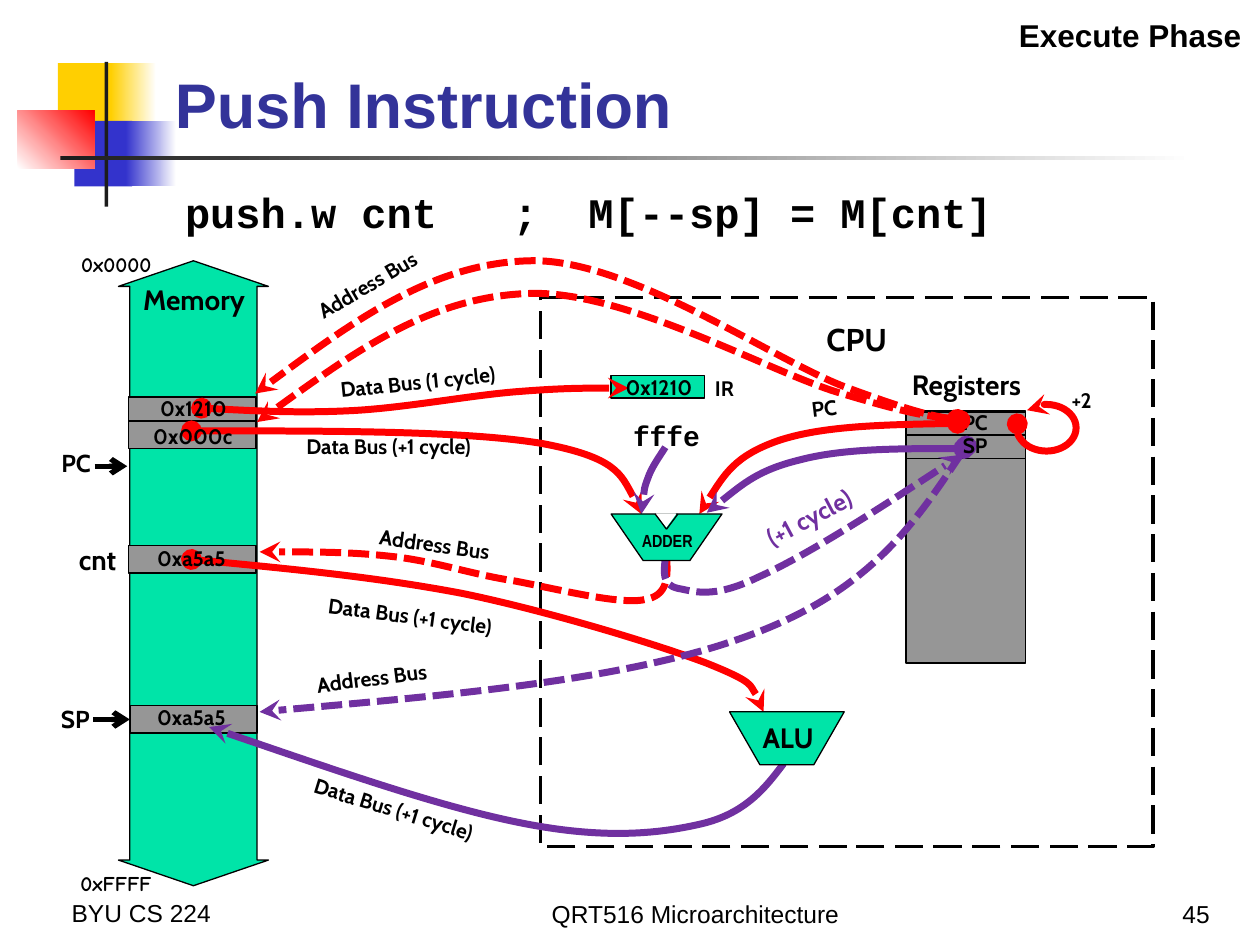
"""Build the Push Instruction slide: memory, CPU and the buses between them."""
from dataclasses import dataclass
from typing import Optional

from lxml import etree
from pptx import Presentation
from pptx.dml.color import RGBColor
from pptx.enum.dml import MSO_LINE
from pptx.enum.shapes import MSO_CONNECTOR, MSO_SHAPE
from pptx.enum.text import MSO_ANCHOR, MSO_AUTO_SIZE, PP_ALIGN
from pptx.oxml.ns import qn
from pptx.util import Pt

PX = 9144
BLACK = RGBColor(0x00, 0x00, 0x00)
WHITE = RGBColor(0xFF, 0xFF, 0xFF)
RED = RGBColor(0xFF, 0x00, 0x00)
PURPLE = RGBColor(0x70, 0x30, 0xA0)
GREEN = RGBColor(0x00, 0xE4, 0xA8)
GRAY = RGBColor(0x96, 0x96, 0x96)
YELLOW = RGBColor(0xFF, 0xCF, 0x01)
BLUE = RGBColor(0x33, 0x33, 0xCC)
INK = RGBColor(0x1C, 0x1C, 0x1C)
TITLE = RGBColor(0x33, 0x33, 0x99)
LEFT, CENTER, RIGHT = PP_ALIGN.LEFT, PP_ALIGN.CENTER, PP_ALIGN.RIGHT


@dataclass
class Box:
    x: int
    y: int
    w: int
    h: int
    fill: Optional[RGBColor] = None
    fade: Optional[RGBColor] = None
    angle: int = 0
    line: Optional[RGBColor] = None
    width: float = 1
    dash: Optional[MSO_LINE] = None
    kind: MSO_SHAPE = MSO_SHAPE.RECTANGLE
    adj: Optional[dict] = None
    flip: bool = False


@dataclass
class Wire:
    points: tuple
    color: RGBColor = RED
    dashed: bool = False
    dot: bool = True
    rot: float = 0


@dataclass
class Label:
    text: str
    x: int
    y: int
    w: int
    h: int = 30
    size: int = 12
    align: PP_ALIGN = CENTER
    font: str = "Cabin"
    color: RGBColor = BLACK
    bold: bool = True
    rot: float = 0
    inset: bool = True
    wrap: bool = True
    bottom: bool = False


def cell(x: int, y: int, w: int, h: int) -> Box:
    return Box(x, y, w, h, GRAY, line=BLACK)


def value(text: str, x: int, y: int, w: int = 64) -> Label:
    return Label(text, x, y, w, 20, inset=False)


def footer(text: str, x: int, y: int, w: int, h: int, align: PP_ALIGN) -> Label:
    return Label(text, x, y, w, h, 14, align, "Arial", bold=False, bottom=True)


DECOR = [
    Box(46, 50, 48, 52, YELLOW), Box(88, 50, 36, 52, YELLOW, WHITE),
    Box(59, 96, 46, 52, BLUE), Box(100, 96, 40, 52, BLUE, WHITE),
    Box(14, 88, 61, 46, WHITE, RED, 45), Box(83, 49, 3, 115, INK),
    Box(48, 124, 900, 3, INK, WHITE),
]
STORAGE = [
    Box(94, 207, 119, 496, GREEN, line=BLACK, width=0.75,
        kind=MSO_SHAPE.UP_DOWN_ARROW, adj={"adj1": 84800, "adj2": 17100}),
    cell(102, 315, 101, 19), cell(102, 334, 101, 22), cell(102, 433, 101, 22),
    cell(719, 326, 95, 200), cell(719, 327, 95, 19), cell(719, 345, 95, 19),
    Box(429, 236, 486, 436, line=BLACK, width=2, dash=MSO_LINE.LONG_DASH),
    Box(485, 298, 74, 18, GREEN, line=BLACK, width=0.75),
]
STACK_TOP = cell(103, 560, 101, 22)
UNITS = [
    Box(579, 565, 91, 42, GREEN, line=BLACK, width=0.75,
        kind=MSO_SHAPE.TRAPEZOID, adj={"adj": 57400}, flip=True),
    Box(485, 408, 88, 37, GREEN, line=BLACK, width=0.75,
        kind=MSO_SHAPE.TRAPEZOID, adj={"adj": 68900}, flip=True),
    Box(521, 408, 15, 10, WHITE, line=WHITE, width=0.75,
        kind=MSO_SHAPE.ISOSCELES_TRIANGLE, adj={"adj": 51800}, flip=True),
]
INCREMENT = Box(807, 321, 47, 37, kind=MSO_SHAPE.ARC, adj={"adj1": 2523400, "adj2": 459300})
WIRES = [
    Wire(((152, 444), (226, 451), (299, 458), (367, 471), (435, 485),
          (520, 511), (560, 526), (600, 542), (603, 554), (606, 565))),
    Wire(((152, 342), (261, 342), (370, 342), (430, 352), (489, 363),
          (499, 385), (509, 408))),
    Wire(((529, 441), (530, 457), (531, 473), (511, 476), (491, 480), (440, 467),
          (408, 461), (375, 456), (347, 446), (314, 442), (280, 438), (243, 438),
          (206, 438)), dashed=True, dot=False),
    Wire(((160, 324), (199, 326), (237, 328), (278, 326), (320, 324), (372, 314),
          (409, 311), (446, 308), (472, 308), (499, 308))),
    Wire(((760, 336), (706, 337), (652, 338), (617, 350), (583, 362), (569, 385),
          (555, 408))),
    Wire(((765, 356), (717, 356), (669, 356), (635, 365), (602, 373), (582, 390),
          (561, 407)), PURPLE),
    Wire(((528, 355), (523, 363), (517, 371), (514, 380), (511, 388), (510, 398),
          (509, 408)), PURPLE, dot=False),
    Wire(((528, 443), (527, 454), (525, 464), (538, 467), (550, 469), (565, 476),
          (602, 458), (640, 441), (702, 401), (763, 361)), PURPLE, True, False),
    Wire(((767, 354), (729, 411), (691, 468), (598, 503), (504, 539), (355, 552),
          (206, 565)), PURPLE, True),
    Wire(((622, 606), (607, 626), (591, 646), (556, 654), (521, 662), (478, 666),
          (413, 653), (348, 640), (257, 608), (166, 577)), PURPLE, dot=False),
]
FETCH_WIRES = [
    Wire(((757, 347), (740, 344), (723, 342), (667, 322), (611, 303), (498, 230),
          (421, 230), (343, 229), (273, 275), (202, 321)), dashed=True, rot=357.1),
    Wire(((761, 338), (744, 335), (727, 332), (670, 310), (614, 288), (501, 206),
          (423, 206), (345, 206), (273, 257), (202, 308)), dashed=True, rot=359.1),
]
LABELS = [
    Label("Execute Phase", 593, 8, 402, 40, 18, RIGHT, "Arial"),
    Label("Push Instruction", 129, 48, 871, 69, 36, LEFT, "Arial", TITLE, bottom=True),
    Label("push.w cnt   ;  M[--sp] = M[cnt]", 137, 143, 858, 50, 24, LEFT, "Courier New"),
    Label("Memory", 87, 219, 134, 37, 16),
    Label("0x0000", 25, 195, 105, align=RIGHT, font="Comic Neue"),
    Label("0xFFFF", 25, 686, 105, align=RIGHT, font="Comic Neue"),
    Label("PC", 31, 351, 51, 34, 14, RIGHT),
    Label("cnt", 0, 426, 102, 37, 16, RIGHT),
    Label("SP", 30, 554, 51, 34, 14, RIGHT),
    value("0x1210", 118, 314, 71), value("0x000c", 121, 336),
    value("0xa5a5", 120, 433), value("0xa5a5", 120, 559),
    value("0x1210", 488, 297, 70),
    Label("Address Bus", 223, 210, 144, 44, rot=329.5),
    Label("Data Bus (1 cycle)", 237, 288, 189, rot=354.2),
    Label("Data Bus (+1 cycle)", 206, 339, 205),
    Label("Address Bus", 273, 417, 144, rot=7.9),
    Label("Data Bus (+1 cycle)", 221, 474, 209, rot=7.5),
    Label("Address Bus", 194, 523, 202, rot=352.8),
    Label("Data Bus (+1 cycle)", 210, 627, 205, rot=17.1),
    Label("(+1 cycle)", 581, 394, 122, 34, 14, color=PURPLE, rot=332, wrap=False),
    Label("CPU", 613, 249, 134, 40, 18),
    Label("Registers", 700, 287, 134, 37, 16),
    Label("IR", 547, 293, 56),
    Label("fffe", 492, 327, 74, 37, 16, font="Courier New", wrap=False),
    Label("PC", 630, 309, 48, rot=353.1),
    Label("PC", 746, 320, 56), Label("SP", 746, 338, 56),
    Label("+2", 834, 303, 49),
    Label("ALU", 592, 567, 67, 37, 16),
    Label("ADDER", 509, 421, 41, 17, 10, font="Arial Narrow", inset=False),
    footer("BYU CS 224", 47, 672, 208, 69, LEFT),
    footer("QRT516 Microarchitecture", 287, 690, 530, 52, CENTER),
    footer("45", 886, 690, 84, 52, RIGHT),
]


def style_line(sp, color: RGBColor, width: float, dash=None, head="", tail="") -> None:
    sp.line.color.rgb = color
    sp.line.width = Pt(width)
    if dash is not None:
        sp.line.dash_style = dash
    ln = sp.element.spPr.find(qn("a:ln"))
    for tag, end in (("a:headEnd", head), ("a:tailEnd", tail)):
        if end:
            etree.SubElement(ln, qn(tag), type=end)


def draw_box(s, box: Box):
    sp = s.shapes.add_shape(box.kind, *(v * PX for v in (box.x, box.y, box.w, box.h)))
    sp.shadow.inherit = False
    if box.adj:
        guides = next(sp.element.iter(qn("a:avLst")))
        guides.clear()
        for name, amount in box.adj.items():
            etree.SubElement(guides, qn("a:gd"), name=name, fmla=f"val {amount}")
    if box.flip:
        sp.element.spPr.xfrm.set("flipV", "1")
    if box.fade is not None:
        sp.fill.gradient()
        sp.fill.gradient_angle = box.angle
        for stop, color in zip(sp.fill.gradient_stops, (box.fill, box.fade)):
            stop.color.rgb = color
    elif box.fill is not None:
        sp.fill.solid()
        sp.fill.fore_color.rgb = box.fill
    else:
        sp.fill.background()
    if box.line is not None:
        style_line(sp, box.line, box.width, box.dash)
    else:
        sp.line.fill.background()
    return sp


def draw_wire(s, wire: Wire) -> None:
    start, *rest = wire.points
    builder = s.shapes.build_freeform(*start, scale=PX)
    sp = builder.add_line_segments(rest, close=False).convert_to_shape()
    sp.rotation = wire.rot
    sp.shadow.inherit = False
    sp.fill.background()
    outline = next(sp.element.iter(qn("a:path")))
    steps = outline.findall(qn("a:lnTo"))
    for i in range(0, len(steps), 3):
        curve = etree.SubElement(outline, qn("a:cubicBezTo"))
        for step in steps[i:i + 3]:
            curve.append(step[0])
            outline.remove(step)
    style_line(sp, wire.color, 4, MSO_LINE.SQUARE_DOT if wire.dashed else None,
               "oval" if wire.dot else "", "stealth")


def draw_line(s, x1: int, y1: int, x2: int, y2: int, width: float, tail="", target=None) -> None:
    c = s.shapes.add_connector(MSO_CONNECTOR.STRAIGHT, x1 * PX, y1 * PX, x2 * PX, y2 * PX)
    if target is not None:
        c.end_connect(target, 1)
    style_line(c, BLACK, width, tail=tail)
    etree.SubElement(c.element.spPr, qn("a:effectLst"))


def draw_label(s, label: Label) -> None:
    sp = s.shapes.add_textbox(*(v * PX for v in (label.x, label.y, label.w, label.h)))
    sp.rotation = label.rot
    tf = sp.text_frame
    tf.word_wrap = label.wrap
    if label.bottom:
        tf.vertical_anchor = MSO_ANCHOR.BOTTOM
    else:
        tf.auto_size = MSO_AUTO_SIZE.SHAPE_TO_FIT_TEXT
    if not label.inset:
        tf.margin_left = tf.margin_top = tf.margin_right = tf.margin_bottom = 0
    p = tf.paragraphs[0]
    p.alignment = label.align
    r = p.add_run()
    r.text = label.text
    r.font.name, r.font.size, r.font.bold = label.font, Pt(label.size), label.bold
    r.font.color.rgb = label.color


def main() -> None:
    prs = Presentation()
    prs.slide_width, prs.slide_height = 1000 * PX, 750 * PX
    s = prs.slides.add_slide(prs.slide_layouts[6])
    for box in DECOR + STORAGE:
        draw_box(s, box)
    stack_top = draw_box(s, STACK_TOP)
    draw_line(s, 75, 370, 101, 370, 3, "arrow")
    draw_line(s, 74, 571, 103, 571, 3, "arrow", stack_top)
    for wire in WIRES:
        draw_wire(s, wire)
    for box in UNITS:
        draw_box(s, box)
    for x in (520, 538):
        draw_line(s, x, 408, 529, 420, 0.75)
    for label in LABELS:
        draw_label(s, label)
    for wire in FETCH_WIRES:
        draw_wire(s, wire)
    loop = draw_box(s, INCREMENT)
    loop.rotation = 180
    style_line(loop, RED, 4, head="stealth", tail="oval")
    prs.save("out.pptx")


if __name__ == "__main__":
    main()
